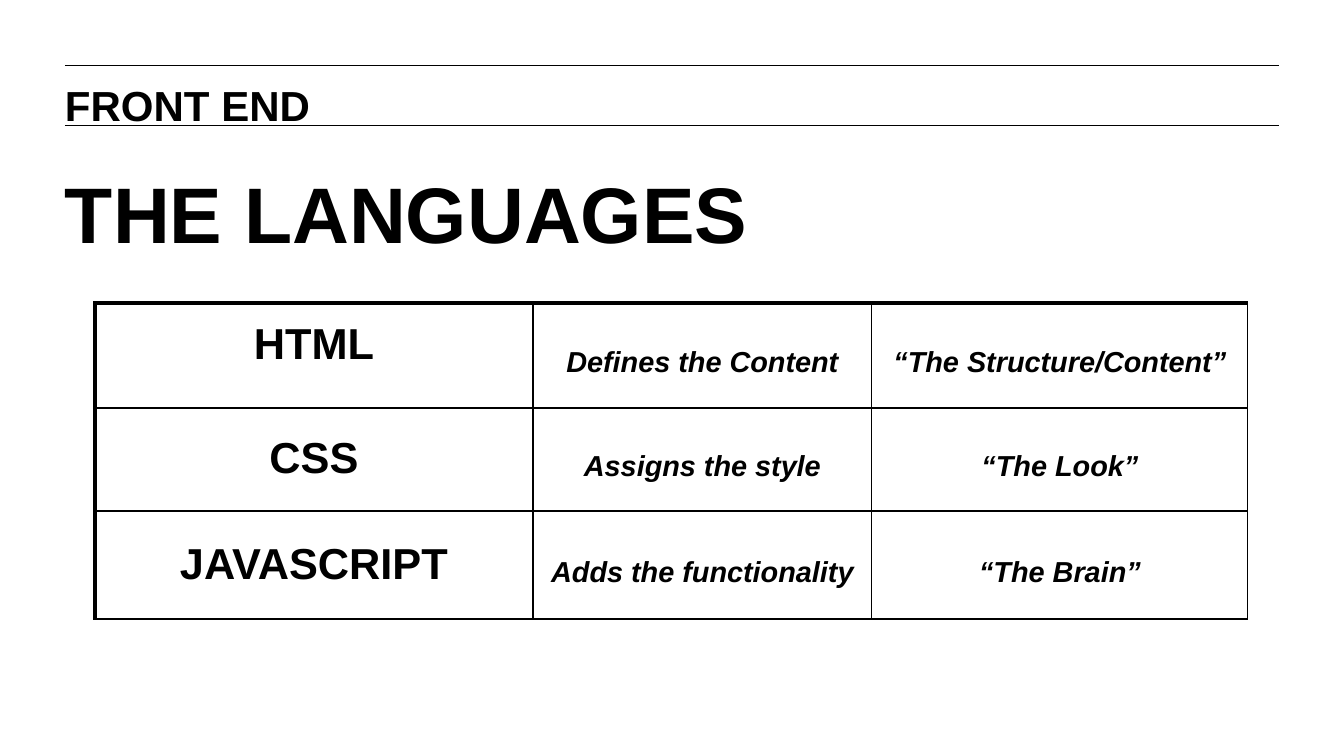
from lxml.etree import SubElement
from pptx import Presentation
from pptx.dml.color import RGBColor
from pptx.enum.shapes import MSO_CONNECTOR
from pptx.enum.text import MSO_ANCHOR, MSO_AUTO_SIZE, PP_ALIGN
from pptx.oxml.ns import qn
from pptx.util import Pt

BLACK = RGBColor(0, 0, 0)
WHITE = RGBColor(255, 255, 255)
EMU_PER_PX = 914400 / 94.5
LANGUAGES = [
    ("HTML", "Defines the Content", "“The Structure/Content”"),
    ("CSS", "Assigns the style", "“The Look”"),
    ("JAVASCRIPT", "Adds the functionality", "“The Brain”"),
]


def px(length):
    """Turn pixels into EMU."""
    return round(length * EMU_PER_PX)


def write(frame, text, size, align=PP_ALIGN.LEFT, spacing=1.0, italic=False):
    """Fill a text frame with one formatted paragraph."""
    para = frame.paragraphs[0]
    para.alignment = align
    para.line_spacing = spacing
    span = para.add_run()
    span.text = text
    span.font.name = "Arial"
    span.font.size = Pt(size)
    span.font.bold = True
    span.font.italic = italic
    span.font.color.rgb = BLACK


class Page:
    """Draw the elements of one slide in a shared style."""

    def __init__(self, deck):
        """Add a title-only slide to the deck."""
        self.slide = deck.slides.add_slide(deck.slide_layouts[5])
        self.shapes = self.slide.shapes

    def rule(self, left, right, top):
        """Draw a thin horizontal line."""
        line = self.shapes.add_connector(
            MSO_CONNECTOR.STRAIGHT, px(left), px(top), px(right), px(top))
        line.line.color.rgb = BLACK
        line.line.width = Pt(0.75)
        SubElement(line._element.spPr, qn("a:effectLst"))

    def fit(self, box, anchor, inset=0):
        """Give a box plain margins and a fixed size."""
        frame = box.text_frame
        frame.auto_size = MSO_AUTO_SIZE.NONE
        frame.word_wrap = True
        frame.vertical_anchor = anchor
        frame.margin_left = frame.margin_right = frame.margin_bottom = 0
        frame.margin_top = px(inset)
        return frame

    def heading(self, text, left, top, width, height):
        """Place the small section heading."""
        box = self.shapes.add_textbox(px(left), px(top), px(width), px(height))
        write(self.fit(box, MSO_ANCHOR.TOP, inset=3), text, 32)

    def title(self, text, left, top, width, height):
        """Place and format the title placeholder."""
        box = self.shapes.title
        box.left, box.top = px(left), px(top)
        box.width, box.height = px(width), px(height)
        write(self.fit(box, MSO_ANCHOR.MIDDLE), text, 60)

    def border(self, cell, side, width):
        """Draw one edge of a table cell."""
        edge = SubElement(cell._tc.get_or_add_tcPr(), qn(f"a:ln{side}"),
                          w=str(Pt(width)))
        fill = SubElement(edge, qn("a:solidFill"))
        SubElement(fill, qn("a:srgbClr"), val=str(BLACK))

    def table(self, rows, left, top, widths, heights):
        """Draw the bordered table with a bold first column."""
        table = self.shapes.add_table(
            len(rows), len(widths), px(left), px(top),
            px(sum(widths)), px(sum(heights))).table
        table.first_row = table.horz_banding = False
        for column, width in zip(table.columns, widths):
            column.width = px(width)
        for row, height in zip(table.rows, heights):
            row.height = px(height)
        for row, texts in enumerate(rows):
            for column, text in enumerate(texts):
                cell = table.cell(row, column)
                first = column == 0
                for side, width in (("L", 3 if first else 1), ("R", 1),
                                    ("T", 3 if row == 0 else 1), ("B", 1)):
                    self.border(cell, side, width)
                cell.fill.solid()
                cell.fill.fore_color.rgb = WHITE
                cell.vertical_anchor = MSO_ANCHOR.MIDDLE
                cell.margin_left = cell.margin_right = px(7)
                cell.margin_top = px(7)
                cell.margin_bottom = px(27 if first and row == 0 else 7)
                write(cell.text_frame, text, 33 if first else 22,
                      align=PP_ALIGN.CENTER, spacing=0.97 if first else 1.45,
                      italic=not first)


def main():
    """Build the slide and save it."""
    deck = Presentation()
    deck.slide_width, deck.slide_height = px(1344), px(755)
    page = Page(deck)
    for top in (65, 126):
        page.rule(65, 1279, top)
    page.heading("FRONT END", 65, 77, 798, 43)
    page.title("THE LANGUAGES", 65, 134, 1212, 155)
    page.table(LANGUAGES, 95, 303, widths=(438, 339, 376),
               heights=(105, 103, 108))
    deck.save("out.pptx")


if __name__ == "__main__":
    main()
